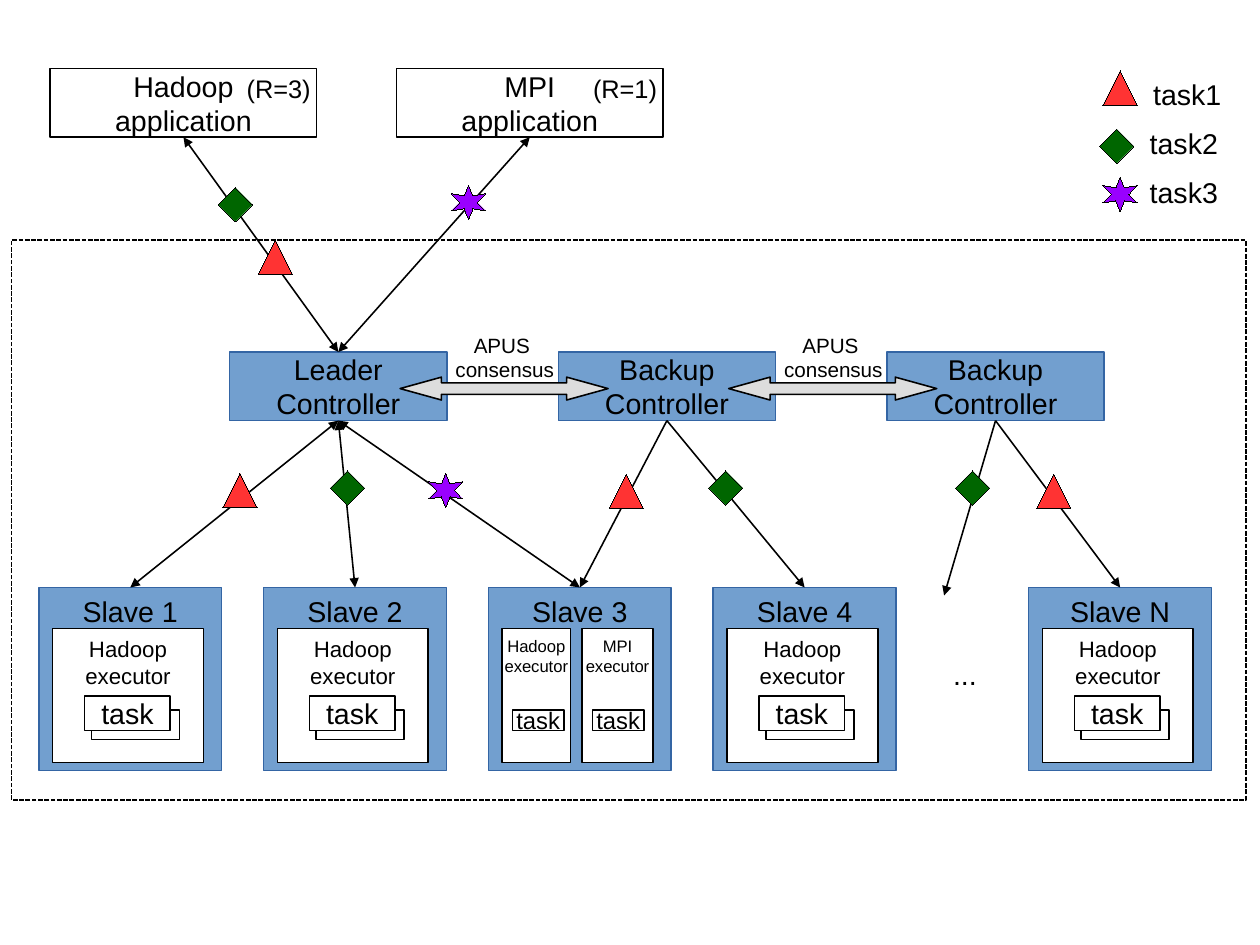
import lxml.etree
import pptx
import pptx.dml.color
import pptx.enum.dml
import pptx.enum.shapes
import pptx.enum.text
import pptx.oxml.ns
import pptx.util

Inches = pptx.util.Inches
Color = pptx.dml.color.RGBColor
Kind = pptx.enum.shapes.MSO_SHAPE
Anchor = pptx.enum.text.MSO_ANCHOR
Align = pptx.enum.text.PP_ALIGN

BLACK = Color(0x00, 0x00, 0x00)
WHITE = Color(0xFF, 0xFF, 0xFF)
BLUE = Color(0x72, 0x9F, 0xCF)
DARK_BLUE = Color(0x34, 0x65, 0xA4)
GREY = Color(0xDD, 0xDD, 0xDD)
RED = Color(0xFF, 0x33, 0x33)
GREEN = Color(0x00, 0x66, 0x00)
PURPLE = Color(0x99, 0x00, 0xFF)

CM_PER_INCH = 2.54
HAIRLINE = 0.01
MARK_SIZE = 0.3
MARK_STYLES = {
    "task1": (Kind.ISOSCELES_TRIANGLE, RED, []),
    "task2": (Kind.DIAMOND, GREEN, []),
    "task3": (Kind.STAR_6_POINT, PURPLE, [0.22]),
}
LINK_MARKS = {
    "task1": [(2.26, 2.1), (1.95, 4.14), (5.33, 4.15), (9.07, 4.15)],
    "task2": [(1.91, 1.64), (2.89, 4.12), (6.2, 4.12), (8.36, 4.12)],
    "task3": [(3.95, 1.62), (3.75, 4.14)],
}
SLAVE_PITCH = 5.9 / 3
CONTROLLER_PITCH = 5.75 / 2


def write(frame, lines, size, align):
    """Write one paragraph per line into a text frame."""
    for index, line in enumerate(lines):
        para = frame.paragraphs[0] if index == 0 else frame.add_paragraph()
        para.alignment = align
        span = para.add_run()
        span.text = line
        span.font.size = pptx.util.Pt(size)
        span.font.name = "Arial"
        span.font.color.rgb = BLACK


def add_figure(page, kind, box, fill, line=BLACK, width=1, adjust=()):
    """Add a flat preset shape in a box of left, top, width and height."""
    shape = page.shapes.add_shape(kind, *map(Inches, box))
    shape.shadow.inherit = False
    for index, value in enumerate(adjust):
        shape.adjustments[index] = value
    if fill is None:
        shape.fill.background()
    else:
        shape.fill.solid()
        shape.fill.fore_color.rgb = fill
    shape.line.color.rgb = line
    shape.line.width = pptx.util.Pt(width)
    return shape


def add_box(page, box, lines=(), size=18, fill=WHITE, line=BLACK, anchor=Anchor.MIDDLE):
    """Add a rectangle with centred lines of text."""
    shape = add_figure(page, Kind.RECTANGLE, box, fill, line)
    frame = shape.text_frame
    frame.word_wrap = False
    frame.vertical_anchor = anchor
    frame.margin_left = frame.margin_right = Inches(0.11)
    frame.margin_top = frame.margin_bottom = Inches(0.06)
    write(frame, lines, size, Align.CENTER)
    return shape


def add_label(page, box, lines, size=18, align=Align.LEFT):
    """Add a free-standing text."""
    frame = page.shapes.add_textbox(*map(Inches, box)).text_frame
    frame.word_wrap = True
    write(frame, lines, size, align)


def add_mark(page, task, left, top):
    """Add the symbol of a task."""
    kind, fill, adjust = MARK_STYLES[task]
    add_figure(page, kind, (left, top, MARK_SIZE, MARK_SIZE), fill, width=HAIRLINE, adjust=adjust)


def add_link(page, upper, lower, both_ways):
    """Join the bottom of a box to the top of another box, or to a point."""
    link = page.shapes.add_connector(pptx.enum.shapes.MSO_CONNECTOR.STRAIGHT, 0, 0, 0, 0)
    link.begin_connect(upper, 2)
    if isinstance(lower, tuple):
        link.end_x, link.end_y = map(Inches, lower)
    else:
        link.end_connect(lower, 0)
    link.line.color.rgb = BLACK
    link.line.width = pptx.util.Pt(1)
    outline = link.line._get_or_add_ln()
    for end in ("a:headEnd", "a:tailEnd") if both_ways else ("a:tailEnd",):
        lxml.etree.SubElement(outline, pptx.oxml.ns.qn(end), type="triangle")
    lxml.etree.SubElement(link._element.spPr, pptx.oxml.ns.qn("a:effectLst"))


def add_application(page, left, top, name, replicas):
    """Draw an application with its replica count."""
    shape = add_box(page, (left, top, 2.33, 0.6), [name, "application"])
    add_label(page, (left + 1.62, top - 0.01, 0.83, 0.35), [replicas], 16)
    return shape


def add_controllers(page, left, top):
    """Draw the row of controllers and the consensus arrows between them."""
    lefts = [left + CONTROLLER_PITCH * index for index in range(3)]
    controllers = [
        add_box(page, (x, top, 1.9, 0.6), [role, "Controller"], fill=BLUE, line=DARK_BLUE)
        for x, role in zip(lefts, ["Leader", "Backup", "Backup"])
    ]
    for x in lefts[:-1]:
        add_figure(page, Kind.LEFT_RIGHT_ARROW, (x + 1.49, top + 0.22, 1.82, 0.2), GREY,
                   adjust=(0.5, 1.81))
        add_label(page, (x + 1.86, top - 0.22, 1.09, 0.5), ["APUS ", "consensus"], 13,
                  Align.CENTER)
    return controllers


def add_slave(page, left, top, name, shared=False):
    """Draw a slave with one executor, or two when it is shared."""
    slave = add_box(page, (left, top, 1.6, 1.6), [name], fill=BLUE, line=DARK_BLUE,
                    anchor=Anchor.TOP)
    if shared:
        for x, width, executor in [(0.12, 0.6, "Hadoop"), (0.82, 0.62, "MPI")]:
            add_box(page, (left + x, top + 0.36, width, 1.17), [executor, "executor"], 10.5,
                    anchor=Anchor.TOP)
            add_box(page, (left + x + 0.09, top + 1.07, 0.45, 0.18), ["task"], 15)
    else:
        add_box(page, (left + 0.12, top + 0.36, 1.32, 1.17), ["Hadoop", "executor"], 14,
                anchor=Anchor.TOP)
        add_box(page, (left + 0.46, top + 1.07, 0.77, 0.26))
        add_box(page, (left + 0.4, top + 0.95, 0.75, 0.3), ["task"])
    return slave


def add_slaves(page, left, top):
    """Draw the row of slaves."""
    slaves = [
        add_slave(page, left + SLAVE_PITCH * index, top, f"Slave {index + 1}", index == 2)
        for index in range(4)
    ]
    add_label(page, (left + 7.9, top + 0.56, 0.44, 0.38), ["..."])
    slaves.append(add_slave(page, left + 8.66, top, "Slave N"))
    return slaves


def add_legend(page, left, top):
    """Draw the key to the task symbols."""
    entries = [("task1", 0.03, 0, 0.37), ("task2", 0, 0.51, 0.34), ("task3", 0.03, 0.93, 0.34)]
    for index, (task, x, y, text_x) in enumerate(entries):
        add_mark(page, task, left + x, top + y)
        add_label(page, (left + text_x, top + 0.43 * index, 0.82, 0.38), [task])


def main():
    """Build the architecture slide."""
    deck = pptx.Presentation()
    deck.slide_width, deck.slide_height = Inches(28 / CM_PER_INCH), Inches(21 / CM_PER_INCH)
    page = deck.slides.add_slide(deck.slide_layouts[6])

    hadoop = add_application(page, 0.44, 0.6, "Hadoop", "(R=3)")
    mpi = add_application(page, 3.47, 0.6, "MPI", "(R=1)")
    leader, backup, last_backup = add_controllers(page, 2.01, 3.08)
    first, second, third, fourth, last = add_slaves(page, 0.34, 5.14)
    cluster = add_figure(page, Kind.RECTANGLE, (0.1, 2.1, 10.8, 4.9), None)
    cluster.line.dash_style = pptx.enum.dml.MSO_LINE.SQUARE_DOT

    for upper, lower in [(hadoop, leader), (mpi, leader), (leader, first), (leader, second),
                         (leader, third)]:
        add_link(page, upper, lower, True)
    for upper, lower in [(backup, third), (backup, fourth), (last_backup, (8.26, 5.21)),
                         (last_backup, last)]:
        add_link(page, upper, lower, False)
    for task, places in LINK_MARKS.items():
        for left, top in places:
            add_mark(page, task, left, top)
    add_legend(page, 9.62, 0.62)
    deck.save("out.pptx")


if __name__ == "__main__":
    main()
